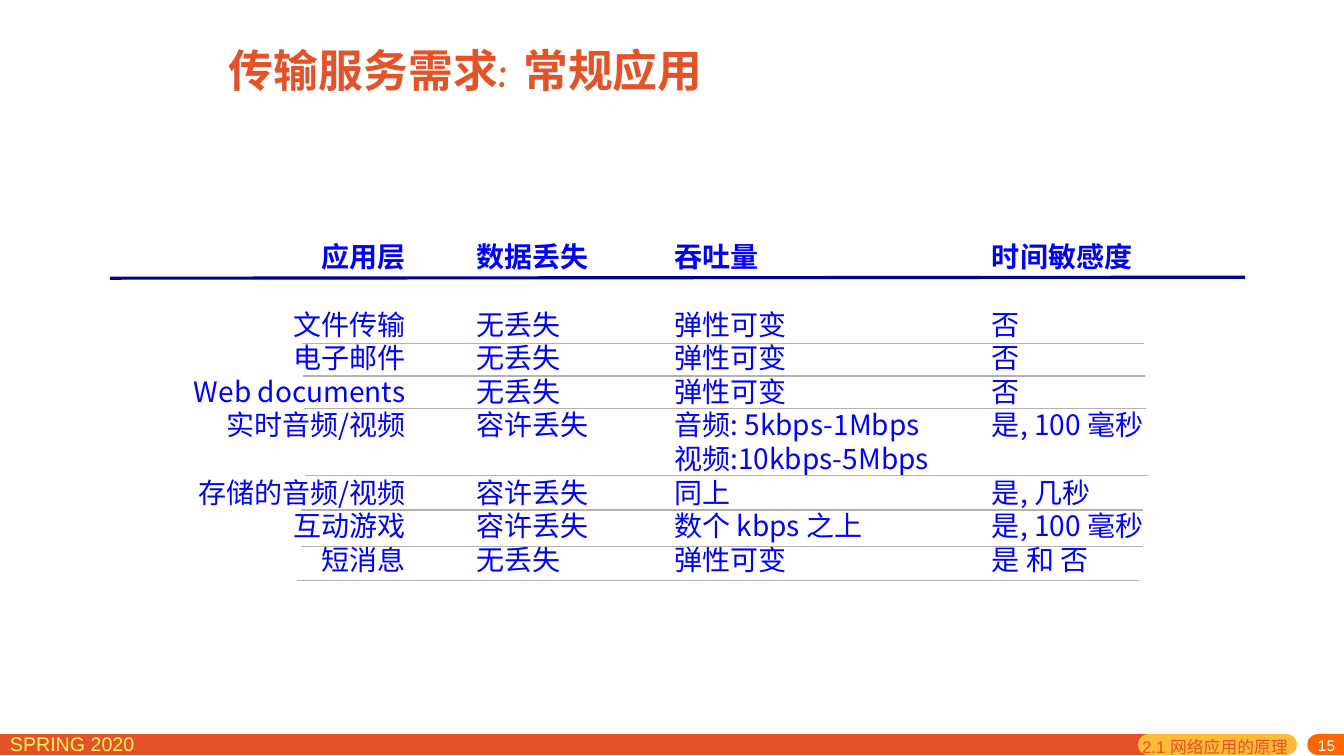
import pptx
import pptx.util
import pptx.dml.color
import pptx.enum.text
import pptx.enum.shapes
import pptx.oxml
from pptx.util import Inches

TITLE = "传输服务需求: 常规应用"
HEADS = ("应用层", "数据丢失", "吞吐量", "时间敏感度")
ROWS = [
    ("文件传输", "无丢失", "弹性可变", "否"),
    ("电子邮件", "无丢失", "弹性可变", "否"),
    ("Web documents", "无丢失", "弹性可变", "否"),
    ("实时音频/视频", "容许丢失", "音频: 5kbps-1Mbps", "是, 100 毫秒"),
    ("", "", "视频:10kbps-5Mbps", ""),
    ("存储的音频/视频", "容许丢失", "同上", "是, 几秒"),
    ("互动游戏", "容许丢失", "数个 kbps 之上", "是, 100 毫秒"),
    ("短消息", "无丢失", "弹性可变", "是 和 否"),
]
# left, width, alignment of each column
COLS = [(1.72, 2.4, "r"), (4.63, 1.33, "l"), (6.59, 3.06, "l"), (9.74, 2.61, "l")]
# left end and height of each row rule
RULES = [(3, 3.41), (3.01, 3.73), (3.02, 4.05), (3.04, 4.72),
         (2.99, 5.06), (2.99, 5.42), (2.95, 5.76)]
RULE_W = 8.35
# start, end, colour of each footer bar
BARS = [(0, 11.39, "E45327"), (11.39, 12.76, "FFBA37"), (13.07, 13.33, "FF6600")]
# text, box, size, colour, alignment
NOTES = [
    ("SPRING 2020", (0, 7.22, 2.29, 0.31), 14, "FFF65C", "l"),
    ("15", (10.75, 7.3, 2.59, 0.18), 11, "FFFFFF", "r"),
    ("2.1 网络应用的原理", (11.23, 7.25, 2.1, 0.31), 12, "E45327", "l"),
]
CJK = "Noto Sans CJK SC"
PITCH = pptx.util.Pt(24)
ALIGN = {"l": pptx.enum.text.PP_ALIGN.LEFT, "r": pptx.enum.text.PP_ALIGN.RIGHT}
MIDDLE = pptx.enum.text.MSO_ANCHOR.MIDDLE

deck = pptx.Presentation()
deck.slide_width, deck.slide_height = Inches(13.33), Inches(7.5)
slide = deck.slides.add_slide(deck.slide_layouts[5])


def paint(color, code):
    color.rgb = pptx.dml.color.RGBColor.from_string(code)


def style(para, size, face, code, bold=False, side="l"):
    para.alignment = ALIGN[side]
    font = para.font
    font.size, font.name, font.bold = pptx.util.Pt(size), face, bold
    paint(font.color, code)


def place(shape, box):
    shape.left, shape.top, shape.width, shape.height = map(Inches, box)


def rule(x1, y1, x2, y2, code, width, cap="flat"):
    kind = pptx.enum.shapes.MSO_CONNECTOR.STRAIGHT
    line = slide.shapes.add_connector(kind, *map(Inches, (x1, y1, x2, y2)))
    line.line.width = pptx.util.Pt(width)
    paint(line.line.color, code)
    line.line._get_or_add_ln().set("cap", cap)
    line._element.spPr.append(pptx.oxml.parse_xml(
        '<a:effectLst xmlns:a="http://schemas.openxmlformats.org/drawingml/2006/main"/>'))


# Footer bars
for start, end, code in BARS:
    rule(start, 7.39, end, 7.39, code, 15, "rnd")

# Title
title = slide.shapes.title
place(title, (2.17, 0.25, 5.13, 0.89))
title.text_frame.text = TITLE
title.text_frame.vertical_anchor = MIDDLE
style(title.text_frame.paragraphs[0], 32, "Comic Neue", "E45327", True)

# Columns: an empty cell becomes space above the next one
for (left, width, side), head, cells in zip(COLS, HEADS, zip(*ROWS)):
    frame = slide.shapes.add_textbox(*map(Inches, (left, 2.33, width, 3.47))).text_frame
    frame.word_wrap = True
    para = frame.paragraphs[0]
    para.text = head
    para.line_spacing = PITCH
    style(para, 20, CJK, "0000FF", True, side)
    gap = PITCH
    for cell in cells:
        if not cell:
            gap = PITCH
            continue
        para = frame.add_paragraph()
        para.text = cell
        para.line_spacing, para.space_before = PITCH, gap
        style(para, 20, CJK, "0000FF", False, side)
        gap = pptx.util.Pt(0)

# Header rule and row rules
rule(1.09, 2.76, 12.35, 2.75, "000099", 2.25)
for left, y in RULES:
    rule(left, y, left + RULE_W, y, "B2B2B2", 1)

# Footer text
for text, box, size, code, side in NOTES:
    frame = slide.shapes.add_textbox(*map(Inches, box)).text_frame
    frame.word_wrap = True
    frame.vertical_anchor = MIDDLE
    frame.text = text
    style(frame.paragraphs[0], size, "Arial", code, False, side)

deck.save("out.pptx")
